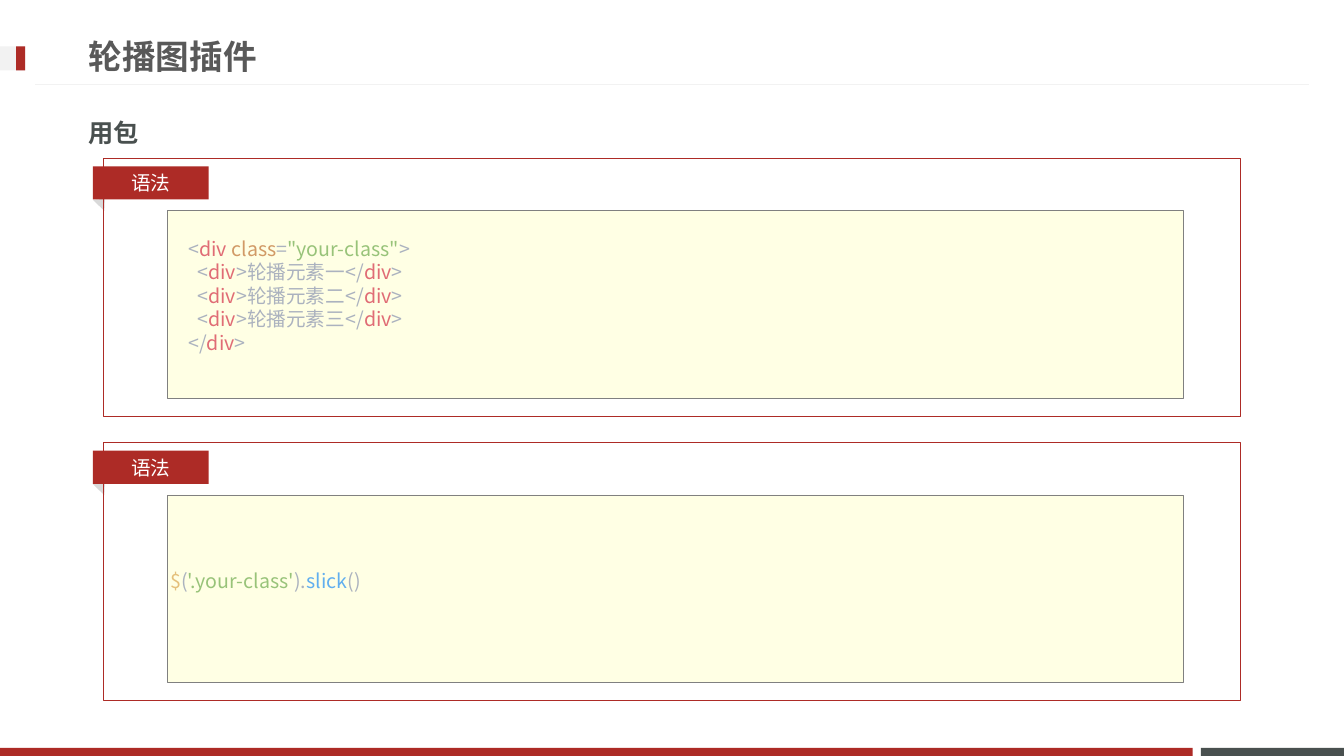
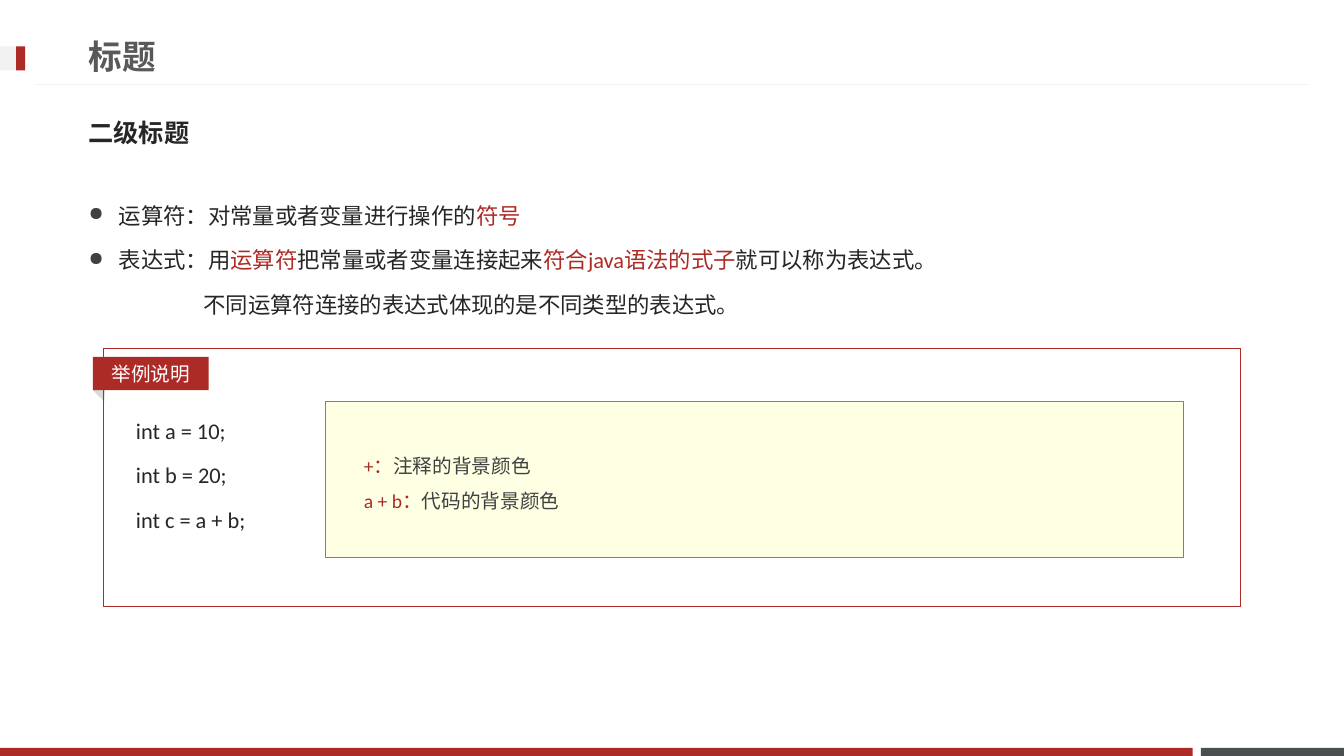
from lxml import etree
from pptx import Presentation
from pptx.dml.color import RGBColor
from pptx.enum.shapes import MSO_CONNECTOR, MSO_SHAPE as SHAPE
from pptx.enum.text import MSO_ANCHOR as ANCHOR, PP_ALIGN as ALIGN
from pptx.oxml.ns import qn
from pptx.util import Emu, Inches, Pt

rgb = RGBColor.from_string

# Palette and fonts
RED, SLATE, PALE, SHADE = "AD2B26", "49504F", "F2F2F2", "D9D9D9"
TITLE, INK, SOFT, WHITE = "595959", "262626", "404040", "FFFFFF"
CREAM, GREY = "FFFFE4", "808080"
PLAIN, TAG, ATTR, STRING = "ABB2BF", "E06C75", "D19A66", "98C379"
DOLLAR, CALL = "E5C07B", "61AFEF"
LATIN, CJK = "Calibri", "Noto Sans CJK JP"

# Page grid in inches: columns for headings, cards and code boxes
W, H = 13.33, 7.5
HEAD_X, HEAD_W, HEAD_H = 0.78, 11.76, 0.57
CARD_X, CARD_W, CARD_H = 1.03, 11.27, 2.56
CODE_X, CODE_RIGHT = 1.66, 11.74
BAR_H = 0.08

prs = Presentation()
prs.slide_width, prs.slide_height = Inches(W), Inches(H)
layout = prs.slide_layouts[5]


def box(s, area, fill=None, line=None, weight=0.75, kind=SHAPE.RECTANGLE):
    sp = s.shapes.add_shape(kind, *[Inches(v) for v in area])
    sp.shadow.inherit = False
    if fill:
        sp.fill.solid()
        sp.fill.fore_color.rgb = rgb(fill)
    else:
        sp.fill.background()
    if line:
        sp.line.color.rgb = rgb(line)
        sp.line.width = Pt(weight)
    else:
        sp.line.fill.background()
    return sp


def write(sp, lines, size, font=LATIN, bold=False, align=ALIGN.LEFT,
          anchor=ANCHOR.MIDDLE, leading=None):
    """Each line is (left indent in inches, [(text, colour), ...])."""
    tf = sp.text_frame
    tf.word_wrap, tf.vertical_anchor = True, anchor
    for i, (indent, runs) in enumerate(lines):
        p = tf.add_paragraph() if i else tf.paragraphs[0]
        p.alignment = align
        if leading:
            p.line_spacing = Pt(leading)
        p._p.get_or_add_pPr().set("marL", str(Inches(indent)))
        for text, colour in runs:
            r = p.add_run()
            r.text = text
            r.font.size, r.font.bold, r.font.name = Pt(size), bold, font
            r.font.color.rgb = rgb(colour)
            etree.SubElement(r._r.get_or_add_rPr(), qn("a:ea"), typeface=CJK)
    return tf


# Slides with title and second-level heading
slides = []
for title, heading, colour in [("轮播图插件", "用包", SLATE),
                               ("标题", "二级标题", INK)]:
    s = prs.slides.add_slide(layout)
    sp = s.shapes.title
    sp.left, sp.top = Inches(HEAD_X), Inches(0.27)
    sp.width, sp.height = Inches(9.59), Inches(HEAD_H)
    write(sp, [(0, [(title, TITLE)])], 24, bold=True)
    sp = box(s, (HEAD_X, 1.03, HEAD_W, HEAD_H))
    write(sp, [(0, [(heading, colour)])], 18, CJK, bold=True)
    slides.append(s)
plugin, syntax = slides

# Shared decoration: footer bands, title marker and rule, kept on the layout
for ph in list(layout.placeholders)[1:]:
    ph.element.getparent().remove(ph.element)
decor = [box(plugin, area, fill) for area, fill in [
    ((11.91, H - BAR_H, 1.42, BAR_H), SLATE),
    ((0, H - BAR_H, 11.83, BAR_H), RED),
    ((0, 0.46, 0.25, 0.24), PALE),
    ((0.16, 0.46, 0.09, 0.24), RED)]]
rule = plugin.shapes.add_connector(MSO_CONNECTOR.STRAIGHT, Inches(0.35),
                                   Inches(0.84), Inches(W - 0.35), Inches(0.84))
rule.line.color.rgb, rule.line.width = rgb(PALE), Pt(0.75)
etree.SubElement(rule.element.spPr, qn("a:effectLst"))
for sp in decor + [rule]:
    layout.shapes.element.append(sp.element)

# Cards: code box, folded corner, frame and label
for s, top, label, code_x, code_h in [(plugin, 1.57, "语法", CODE_X, 1.86),
                                      (plugin, 4.39, "语法", CODE_X, 1.86),
                                      (syntax, 3.46, "举例说明", 3.23, 1.55)]:
    box(s, (code_x, top + 0.52, CODE_RIGHT - code_x, code_h), CREAM, GREY, 0.25)
    fold = box(s, (0.93, top + 0.39, 0.16, 0.09), SHADE, kind=SHAPE.ISOSCELES_TRIANGLE)
    fold.rotation = 44.2
    box(s, (CARD_X, top, CARD_W, CARD_H), line=RED)
    sp = box(s, (0.92, top + 0.08, 1.15, 0.33), RED)
    write(sp, [(0, [(label, WHITE)])], 14, align=ALIGN.CENTER)

# Slide 1: markup and call
markup = [(0, [("<", PLAIN), ("div ", TAG), ("class", ATTR), ("=", PLAIN),
               ('"your-class"', STRING), (">", PLAIN)])]
for number in "一二三":
    markup.append((0.09, [("<", PLAIN), ("div", TAG),
                          (f">轮播元素{number}</", PLAIN), ("div", TAG), (">", PLAIN)]))
markup.append((0, [("</", PLAIN), ("div", TAG), (">", PLAIN)]))
call = [(0, [("$", DOLLAR), ("(", PLAIN), ("'.your-class'", STRING),
             (").", PLAIN), ("slick", CALL), ("()", PLAIN)])]
for area, lines in [((1.77, 2.29, 7.04, 1.28), markup),
                    ((1.59, 5.59, 7.22, 0.34), call)]:
    write(box(plugin, area), lines, 14, CJK, leading=16.8)

# Slide 2: definitions, the first two bulleted
definitions = [
    (0.3, [("运算符：对常量或者变量进行操作的", INK), ("符号", RED)]),
    (0.3, [("表达式：用", INK), ("运算符", RED), ("把常量或者变量连接起来", INK),
           ("符合java语法的式子", RED), ("就可以称为表达式。", INK)]),
    (1.14, [("不同运算符连接的表达式体现的是不同类型的表达式。", INK)])]
tf = write(box(syntax, (HEAD_X, 1.78, HEAD_W, 1.6)), definitions, 16,
           anchor=ANCHOR.TOP, leading=31.8)
for p in tf.paragraphs[:2]:
    pPr = p._p.get_or_add_pPr()
    pPr.set("indent", str(Emu(-Inches(0.3))))
    clr = etree.SubElement(pPr, qn("a:buClr"))
    etree.SubElement(clr, qn("a:srgbClr"), val=SOFT)
    etree.SubElement(pPr, qn("a:buSzPct"), val="85000")
    etree.SubElement(pPr, qn("a:buChar"), char="●")

# Slide 2: example code and its notes
code = [(0, [(text, INK)]) for text in ("int a = 10;", "int b = 20;", "int c = a + b;")]
write(box(syntax, (1.25, 3.91, 1.9, 1.76)), code, 16, anchor=ANCHOR.TOP, leading=31.8)
notes = [(0, [("+：", RED), ("注释的背景颜色", SOFT)]),
         (0, [("a + b：", RED), ("代码的背景颜色", SOFT)])]
write(box(syntax, (3.51, 4.35, 7.71, 0.77)), notes, 14, leading=25)

prs.save("out.pptx")
